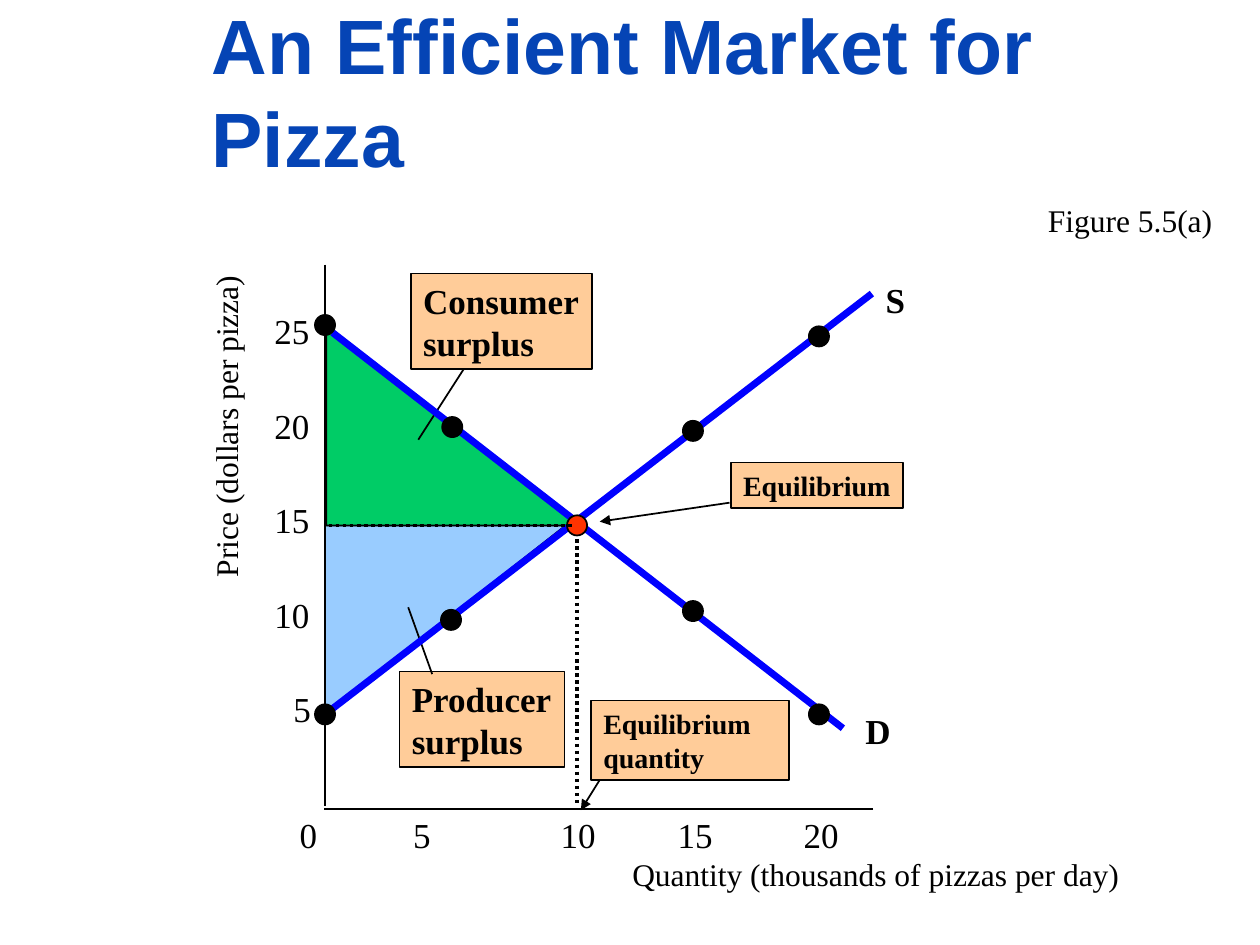
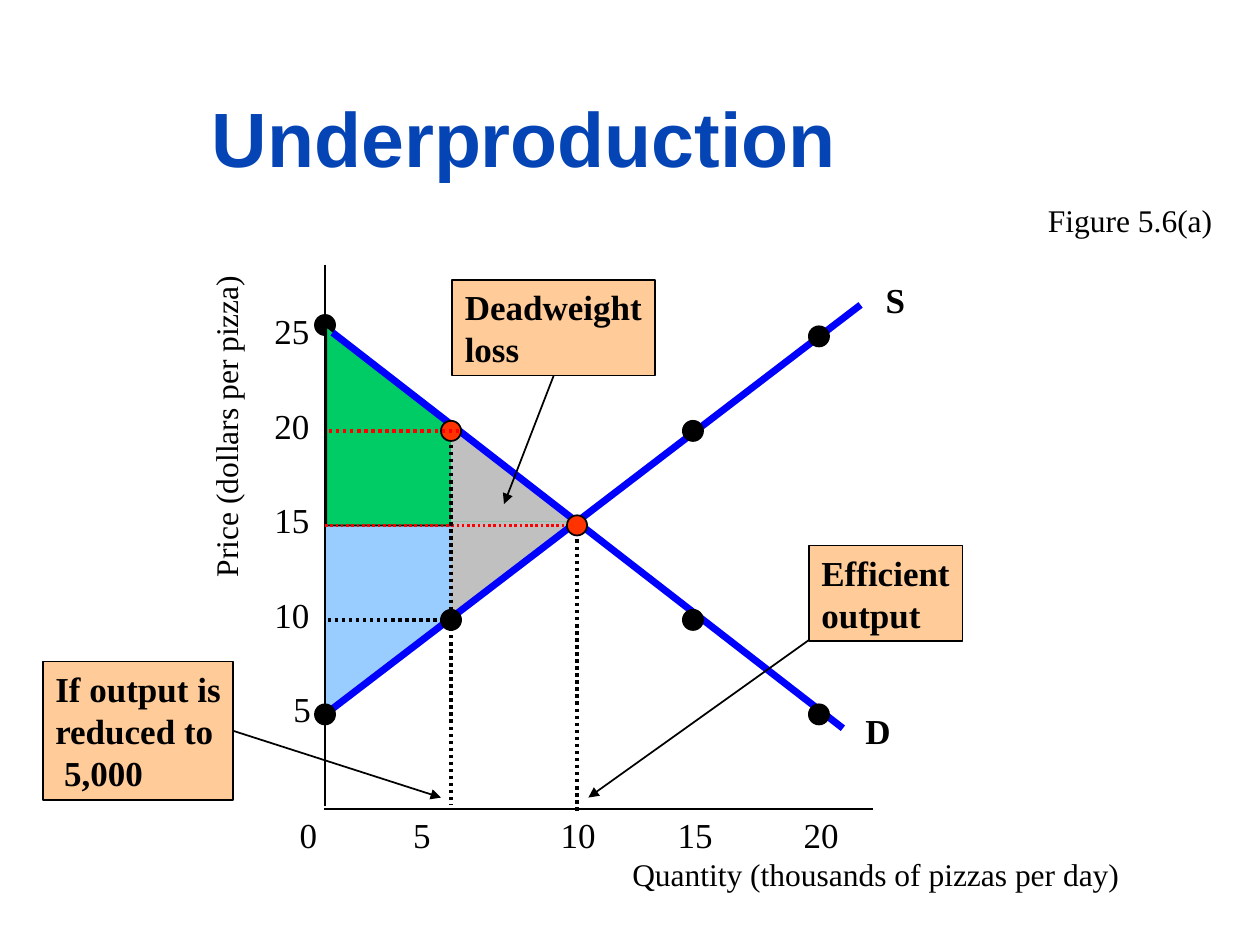
from dataclasses import dataclass
from typing import Optional, Union

from lxml.etree import SubElement
from pptx import Presentation
from pptx.dml.color import RGBColor
from pptx.enum.dml import MSO_LINE
from pptx.enum.shapes import MSO_CONNECTOR, MSO_SHAPE
from pptx.enum.text import MSO_ANCHOR, MSO_AUTO_SIZE, PP_ALIGN
from pptx.oxml.ns import qn
from pptx.util import Inches, Pt

BLACK = "000000"
TITLE_BLUE = "0544B5"
CURVE_BLUE = "0000FF"
CONSUMER_GREEN = "00CC66"
PRODUCER_BLUE = "99CCFF"
LOSS_GREY = "C0C0C0"
CALLOUT_PEACH = "FFCC99"
MARK_RED = "FF3300"
GUIDE_RED = "FF0000"
BODY_FONT = "Times New Roman"
TITLE_FONT = "Arial"

ORIGIN_X = 2.58
AXIS_Y = 6.42
DOT_SIZE = 0.16
EQUILIBRIUM_X = 4.58
REDUCED_X = 3.58


def price_y(price: float) -> float:
    return AXIS_Y - 0.15 * price


@dataclass(frozen=True)
class Segment:
    x1: float
    y1: float
    x2: float
    y2: float
    color: str = BLACK
    width: float = 1
    dotted: bool = False
    arrow: bool = False


@dataclass(frozen=True)
class Triangle:
    left: float
    top: float
    width: float
    height: float
    color: str
    points_down: bool = False
    outlined: bool = False


@dataclass(frozen=True)
class Dot:
    x: float
    y: float
    color: str = BLACK


@dataclass(frozen=True)
class Callout:
    left: float
    top: float
    width: float
    height: float
    lines: tuple[str, ...]
    pointer: Segment
    size: int = 20
    wrap: bool = False
    joined_side: Optional[int] = None
    last_indent: float = 0


@dataclass(frozen=True)
class Label:
    left: float
    top: float
    width: float
    height: float
    text: str
    size: int = 20
    bold: bool = False
    rotation: int = 0
    align: PP_ALIGN = PP_ALIGN.LEFT
    tabs: tuple[float, ...] = ()
    wrap: bool = False


Item = Union[Segment, Triangle, Dot, Callout, Label]


@dataclass(frozen=True)
class Figure:
    title: str
    caption: str
    behind_axes: list[Item]
    before_axes: list[Item]


def rgb(value: str) -> RGBColor:
    return RGBColor.from_string(value)


def write(para, text: str, size: int, bold: bool, color: str = BLACK, font: str = BODY_FONT) -> None:
    span = para.add_run()
    span.text = text
    span.font.name = font
    span.font.size = Pt(size)
    span.font.bold = bold
    span.font.color.rgb = rgb(color)


def paint(shape, fill: str, outlined: bool = True) -> None:
    shape.shadow.inherit = False
    shape.fill.solid()
    shape.fill.fore_color.rgb = rgb(fill)
    if outlined:
        shape.line.color.rgb = rgb(BLACK)
        shape.line.width = Pt(1)
    else:
        shape.line.fill.background()


def draw_segment(page, segment: Segment):
    connector = page.shapes.add_connector(
        MSO_CONNECTOR.STRAIGHT, Inches(segment.x1), Inches(segment.y1), Inches(segment.x2), Inches(segment.y2))
    connector.line.color.rgb = rgb(segment.color)
    connector.line.width = Pt(segment.width)
    if segment.dotted:
        connector.line.dash_style = MSO_LINE.ROUND_DOT
    if segment.arrow:
        SubElement(connector.line._get_or_add_ln(), qn("a:tailEnd"), type="triangle")
    SubElement(connector._element.spPr, qn("a:effectLst"))
    return connector


def draw_triangle(page, triangle: Triangle) -> None:
    width, height = triangle.width, triangle.height
    left, top = triangle.left, triangle.top
    if triangle.points_down:
        left, top = left + (width - height) / 2, top + (height - width) / 2
        width, height = height, width
    shape = page.shapes.add_shape(
        MSO_SHAPE.RIGHT_TRIANGLE, Inches(left), Inches(top), Inches(width), Inches(height))
    shape.rotation = 90 if triangle.points_down else 0
    paint(shape, triangle.color, triangle.outlined)


def draw_dot(page, dot: Dot) -> None:
    shape = page.shapes.add_shape(
        MSO_SHAPE.OVAL, Inches(dot.x - DOT_SIZE / 2), Inches(dot.y - DOT_SIZE / 2),
        Inches(DOT_SIZE), Inches(DOT_SIZE))
    paint(shape, dot.color)


def draw_callout(page, callout: Callout) -> None:
    box = page.shapes.add_shape(
        MSO_SHAPE.RECTANGLE, Inches(callout.left), Inches(callout.top),
        Inches(callout.width), Inches(callout.height))
    paint(box, CALLOUT_PEACH)
    frame = box.text_frame
    frame.word_wrap = callout.wrap
    frame.vertical_anchor = MSO_ANCHOR.TOP
    for index, line in enumerate(callout.lines):
        para = frame.add_paragraph() if index else frame.paragraphs[0]
        para.alignment = PP_ALIGN.LEFT
        write(para, line, callout.size, True)
    if callout.last_indent:
        para._p.get_or_add_pPr().set("marL", str(Inches(callout.last_indent)))
    pointer = draw_segment(page, callout.pointer)
    if callout.joined_side is not None:
        pointer.begin_connect(box, callout.joined_side)


def draw_label(page, label: Label) -> None:
    box = page.shapes.add_textbox(
        Inches(label.left), Inches(label.top), Inches(label.width), Inches(label.height))
    box.rotation = label.rotation
    box.text_frame.word_wrap = label.wrap
    para = box.text_frame.paragraphs[0]
    para.alignment = label.align
    if label.tabs:
        tab_list = SubElement(para._p.get_or_add_pPr(), qn("a:tabLst"))
        for position in label.tabs:
            SubElement(tab_list, qn("a:tab"), pos=str(Inches(position)), algn="l")
    write(para, label.text, label.size, label.bold)


PAINTERS = {Segment: draw_segment, Triangle: draw_triangle, Dot: draw_dot,
            Callout: draw_callout, Label: draw_label}


def draw_all(page, items: list[Item]) -> None:
    for item in items:
        PAINTERS[type(item)](page, item)


AXES = [
    Segment(ORIGIN_X, 2.1, ORIGIN_X, 6.4),
    Segment(6.93, AXIS_Y, 2.57, AXIS_Y),
    Label(4.92, 6.74, 4.07, 0.4, "Quantity (thousands of pizzas per day)", 18),
    Label(2.28, 6.41, 4.48, 0.43, "0\t5\t10\t15\t20", tabs=(0.9, 2.07, 3, 4)),
    Label(0.34, 3.03, 2.9, 0.4, "Price (dollars per pizza)", 18, rotation=270, wrap=True),
    Label(2.23, price_y(5) - 0.26, 0.34, 0.43, "5"),
    *[Label(2.08, price_y(price) - 0.26, 0.48, 0.43, str(price)) for price in (10, 15, 20, 25)],
    Label(6.93, 2.16, 0.35, 0.43, "S", bold=True),
    Label(6.77, 5.58, 0.4, 0.43, "D", bold=True),
]
DEMAND = Segment(2.64, 2.64, 6.69, 5.78, CURVE_BLUE, 4)
CONSUMER_AREA = Triangle(2.59, 2.59, 2, 1.58, CONSUMER_GREEN, outlined=True)
TOP_DOT = Dot(ORIGIN_X, 2.58)
EQUILIBRIUM_DOT = Dot(EQUILIBRIUM_X, price_y(15), MARK_RED)
SHARED_DOTS = [Dot(ORIGIN_X, price_y(5)), Dot(REDUCED_X, price_y(10)), Dot(5.5, price_y(20)),
               Dot(6.5, price_y(25)), Dot(6.5, price_y(5))]

EFFICIENT_MARKET = Figure(
    "An Efficient Market for Pizza",
    "Figure 5.5(a)",
    [
        Triangle(2.58, price_y(15), 1.91, 1.5, PRODUCER_BLUE, points_down=True, outlined=True),
        Callout(3.17, 5.33, 1.31, 0.76, ("Producer", "surplus"), Segment(3.43, 5.35, 3.24, 4.82)),
        CONSUMER_AREA,
        Callout(3.26, 2.17, 1.44, 0.76, ("Consumer", "surplus"), Segment(3.68, 2.93, 3.32, 3.49)),
        DEMAND,
        Segment(6.92, 2.33, ORIGIN_X, price_y(5), CURVE_BLUE, 4),
    ],
    [
        TOP_DOT,
        Dot(3.59, 3.39),
        Dot(5.5, 4.85),
        *SHARED_DOTS,
        EQUILIBRIUM_DOT,
        Segment(2.61, price_y(15), 4.56, price_y(15), width=2, dotted=True),
        Segment(EQUILIBRIUM_X, 4.28, EQUILIBRIUM_X, 6.39, width=2, dotted=True),
        Callout(5.8, 3.67, 1.37, 0.36, ("Equilibrium",),
                Segment(5.79, 3.99, 4.76, 4.14, arrow=True), size=16),
        Callout(4.69, 5.56, 1.57, 0.63, ("Equilibrium quantity",),
                Segment(4.76, 6.19, 4.61, 6.43, arrow=True), size=16, wrap=True),
    ],
)

UNDERPRODUCTION = Figure(
    "Underproduction",
    "Figure 5.6(a)",
    [
        Segment(EQUILIBRIUM_X, price_y(15), EQUILIBRIUM_X, 6.44, width=2, dotted=True),
        Triangle(ORIGIN_X, price_y(15), 2, 1.5, PRODUCER_BLUE, points_down=True),
        TOP_DOT,
    ],
    [
        CONSUMER_AREA,
        Segment(2.6, price_y(10), 3.62, price_y(10), width=2, dotted=True),
        Triangle(REDUCED_X, 4.14, 1, 0.77, LOSS_GREY, points_down=True),
        Triangle(REDUCED_X, 3.33, 1, 0.81, LOSS_GREY),
        Segment(ORIGIN_X, price_y(15), 4.59, price_y(15), GUIDE_RED, 1.5, dotted=True),
        DEMAND,
        Segment(6.83, 2.42, ORIGIN_X, price_y(5), CURVE_BLUE, 4),
        EQUILIBRIUM_DOT,
        Dot(REDUCED_X, price_y(20), MARK_RED),
        Dot(5.5, price_y(10)),
        *SHARED_DOTS,
        Callout(6.42, 4.33, 1.22, 0.76, ("Efficient", "output"),
                Segment(6.42, 5.08, 4.67, 6.33, arrow=True)),
        Segment(2.61, price_y(20), 3.64, price_y(20), GUIDE_RED, 2, dotted=True),
        Segment(REDUCED_X, 3.53, REDUCED_X, 6.39, width=2, dotted=True),
        Callout(0.34, 5.25, 1.51, 1.1, ("If output is", "reduced to", "5,000"),
                Segment(1.85, 5.8, 3.5, 6.33, arrow=True), joined_side=3, last_indent=0.07),
        Callout(3.59, 2.22, 1.61, 0.76, ("Deadweight", "loss"),
                Segment(4.4, 2.98, 4, 4, arrow=True), joined_side=2),
    ],
)


def add_figure(deck, figure: Figure) -> None:
    page = deck.slides.add_slide(deck.slide_layouts[5])
    title = page.shapes.title
    title.left, title.top, title.width, title.height = (Inches(v) for v in (1.58, 0.25, 8.17, 1.25))
    title.text_frame.auto_size = MSO_AUTO_SIZE.NONE
    title.text_frame.vertical_anchor = MSO_ANCHOR.BOTTOM
    para = title.text_frame.paragraphs[0]
    para.alignment = PP_ALIGN.LEFT
    write(para, figure.title, 44, True, TITLE_BLUE, TITLE_FONT)
    draw_all(page, figure.behind_axes + AXES + figure.before_axes)
    draw_label(page, Label(7.9, 1.55, 1.82, 0.4, figure.caption, 18, align=PP_ALIGN.RIGHT))


def main() -> None:
    deck = Presentation()
    deck.slide_width, deck.slide_height = Inches(10), Inches(7.5)
    for figure in (EFFICIENT_MARKET, UNDERPRODUCTION):
        add_figure(deck, figure)
    deck.save("out.pptx")


if __name__ == "__main__":
    main()
